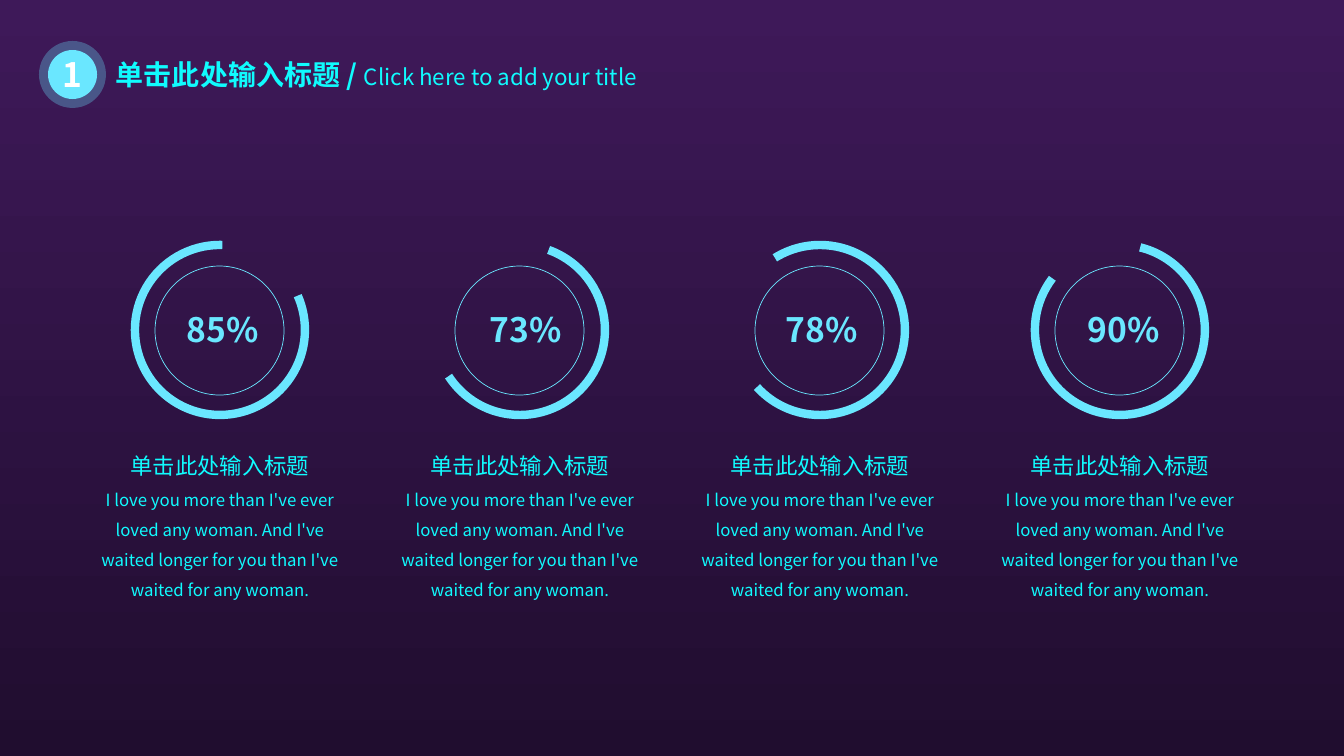
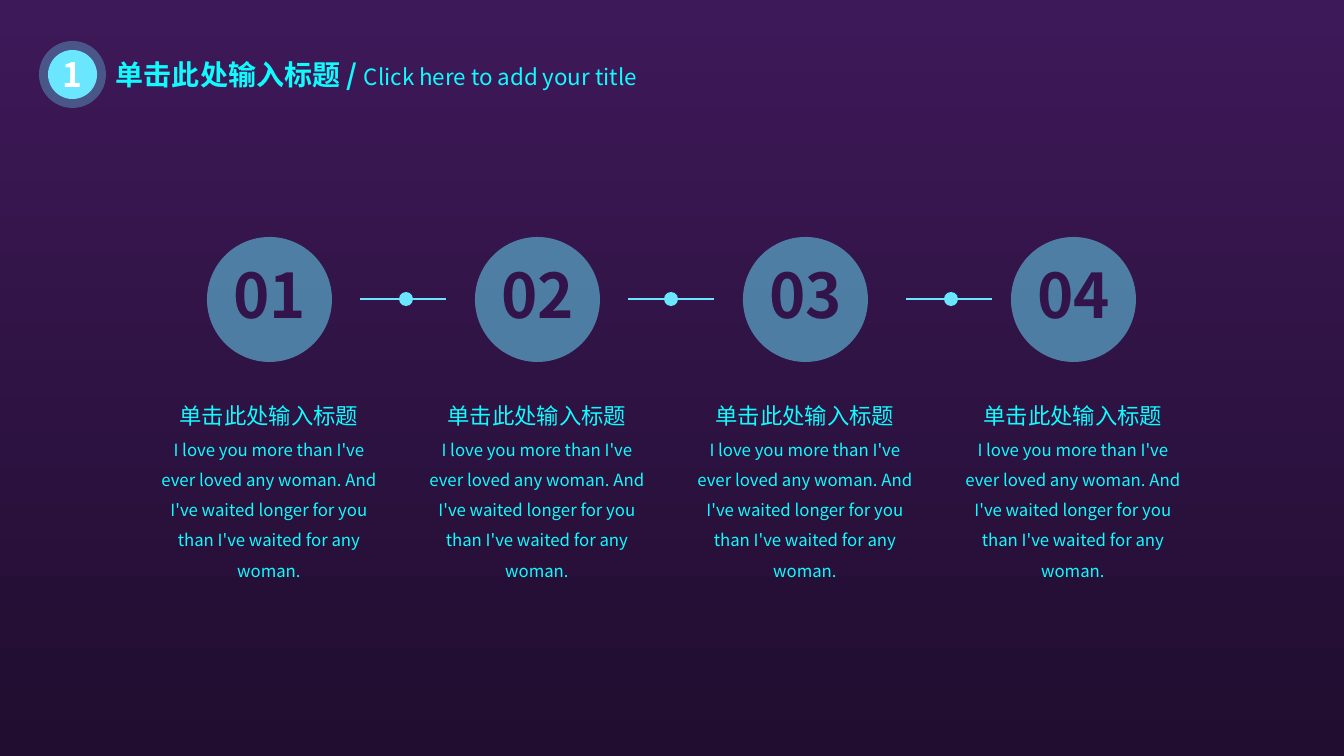
from dataclasses import dataclass

from lxml import etree
from pptx import Presentation
from pptx.dml.color import RGBColor
from pptx.enum import shapes, text
from pptx.oxml.ns import qn
from pptx.util import Emu, Pt

WIDTH, HEIGHT = 1344, 756
SCALE = 12192000 / WIDTH


def px(length):
    return Emu(round(length * SCALE))


@dataclass(frozen=True)
class Theme:
    font: str = "Noto Sans CJK SC"
    sky_top: str = "3E1959"
    sky_bottom: str = "200D2F"
    accent: str = "6AE7FF"
    copy: str = "10FBFE"
    white: str = "FFFFFF"
    cutout: str = "32144A"
    title_size: int = 20
    subtitle_size: int = 16
    heading_size: int = 16
    body_size: int = 12
    figure_size: int = 24
    step_size: int = 44
    hairline: float = 0.5
    rule: float = 1
    ring: float = 6


HEADING = "单击此处输入标题"
SUBTITLE = "Click here to add your title"
BODY = (
    "I love you more than I've ever loved any woman. "
    "And I've waited longer for you than I've waited for any woman."
)


class Deck:
    def __init__(self, theme):
        self.theme = theme
        self.prs = Presentation()
        self.prs.slide_width, self.prs.slide_height = px(WIDTH), px(HEIGHT)
        self.slide = None
        sky = self.prs.slide_master.background.fill
        sky.gradient()
        sky.gradient_angle = 270
        for stop, color in zip(sky.gradient_stops, (theme.sky_top, theme.sky_bottom)):
            stop.color.rgb = RGBColor.from_string(color)

    def style(self, font, size, color, bold=False):
        font.size, font.bold, font.name = Pt(size), bold, self.theme.font
        font.color.rgb = RGBColor.from_string(color)
        etree.SubElement(font._element, qn("a:ea"), typeface=self.theme.font)

    def start_slide(self, number):
        theme = self.theme
        self.slide = self.prs.slides.add_slide(self.prs.slide_layouts[6])
        self.disc(39, 41, 67, alpha=30)
        badge = self.disc(48, 50, 49)
        self.label(badge, number, theme.figure_size, theme.white)
        title = self.text_box(106, 53, 578, 44).paragraphs[0]
        for words, size, bold in (
            (f"{HEADING} / ", theme.title_size, True),
            (SUBTITLE, theme.subtitle_size, False),
        ):
            run = title.add_run()
            run.text = words
            self.style(run.font, size, theme.copy, bold)

    def outline(self, preset, left, top, size, weight):
        shape = self.slide.shapes.add_shape(preset, px(left), px(top), px(size), px(size))
        shape.shadow.inherit = False
        shape.fill.background()
        shape.line.color.rgb = RGBColor.from_string(self.theme.accent)
        shape.line.width = Pt(weight)
        return shape

    def arc(self, left, top, size, start, end):
        arc = self.outline(shapes.MSO_SHAPE.ARC, left, top, size, self.theme.ring)
        for index, degrees in enumerate((start, end)):
            arc.adjustments[index] = degrees * 0.6

    def circle(self, left, top, size):
        self.outline(shapes.MSO_SHAPE.OVAL, left, top, size, self.theme.hairline)

    def disc(self, left, top, size, alpha=100):
        disc = self.slide.shapes.add_shape(
            shapes.MSO_SHAPE.OVAL, px(left), px(top), px(size), px(size)
        )
        disc.shadow.inherit = False
        disc.line.fill.background()
        disc.fill.solid()
        disc.fill.fore_color.rgb = RGBColor.from_string(self.theme.accent)
        if alpha < 100:
            color = disc._element.spPr.find(f".//{qn('a:srgbClr')}")
            etree.SubElement(color, qn("a:alpha"), val=str(alpha * 1000))
        return disc

    def label(self, disc, words, size, color, lift=0):
        frame = disc.text_frame
        frame.margin_left = frame.margin_right = frame.margin_top = 0
        frame.margin_bottom = px(lift)
        frame.word_wrap = False
        frame.vertical_anchor = text.MSO_ANCHOR.MIDDLE
        paragraph = frame.paragraphs[0]
        paragraph.text = words
        paragraph.alignment = text.PP_ALIGN.CENTER
        self.style(paragraph.font, size, color, True)

    def text_box(self, left, top, width, height, wrap=True):
        frame = self.slide.shapes.add_textbox(
            px(left), px(top), px(width), px(height)
        ).text_frame
        frame.word_wrap = wrap
        frame.auto_size = text.MSO_AUTO_SIZE.SHAPE_TO_FIT_TEXT
        return frame

    def figure(self, left, top, words):
        paragraph = self.text_box(left, top, 94, 50, wrap=False).paragraphs[0]
        paragraph.text = words
        self.style(paragraph.font, self.theme.figure_size, self.theme.accent, True)

    def caption(self, left, top, width, height):
        frame = self.text_box(left, top, width, height)
        heading, body = frame.paragraphs[0], frame.add_paragraph()
        for paragraph, words, size in (
            (heading, HEADING, self.theme.heading_size),
            (body, BODY, self.theme.body_size),
        ):
            paragraph.text = words
            paragraph.alignment = text.PP_ALIGN.CENTER
            paragraph.line_spacing = 1.5
            self.style(paragraph.font, size, self.theme.copy)

    def link(self, left, right, y):
        link = self.slide.shapes.add_connector(
            shapes.MSO_CONNECTOR.STRAIGHT, px(left), px(y), px(right), px(y)
        )
        link.line.color.rgb = RGBColor.from_string(self.theme.accent)
        link.line.width = Pt(self.theme.rule)
        etree.SubElement(link._element.spPr, qn("a:effectLst"))


def percent_slide(deck):
    deck.start_slide("1")
    rings = (
        ("85%", 177, 336.2, 271.6),
        ("73%", 480, 289.7, 147.1),
        ("78%", 776, 238, 137.8),
        ("90%", 1078, 283.8, 217.4),
    )
    for index, (percent, figure_left, start, end) in enumerate(rings):
        shift = 300 * index
        deck.circle(155 + shift, 266, 129)
        deck.arc(135 + shift, 245, 170, start, end)
        deck.figure(figure_left, 304, percent)
        deck.caption(86 + shift, 434, 268, 173)


def steps_slide(deck):
    deck.start_slide("1")
    theme = deck.theme
    for index in range(4):
        shift = 268 * index
        step = deck.disc(207 + shift, 237, 125, alpha=50)
        deck.label(step, f"{index + 1:02}", theme.step_size, theme.cutout, lift=11)
        deck.caption(145 + shift, 384, 248, 204)
    for link_left, dot_left in ((360, 399), (628, 664), (906, 944)):
        deck.link(link_left, link_left + 86, 299)
        deck.disc(dot_left, 292, 14)


def main():
    deck = Deck(Theme())
    percent_slide(deck)
    steps_slide(deck)
    deck.prs.save("out.pptx")


if __name__ == "__main__":
    main()
